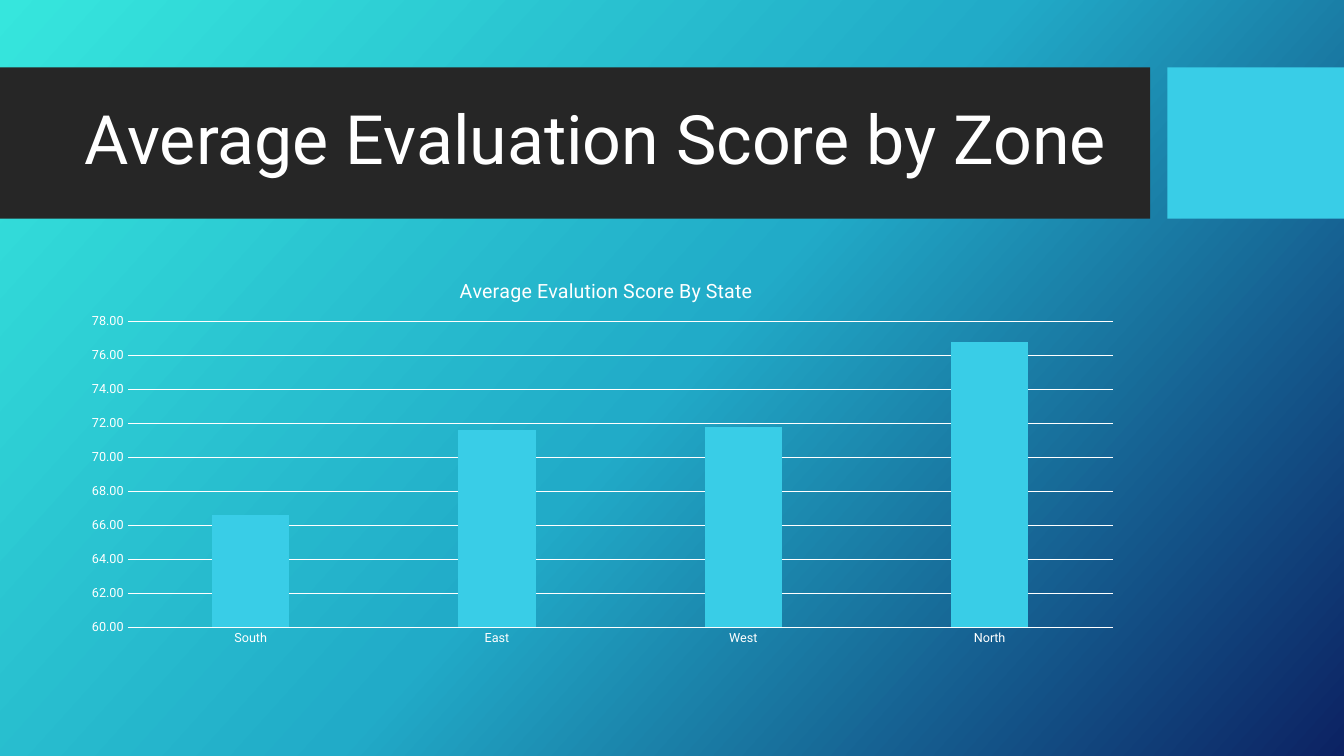
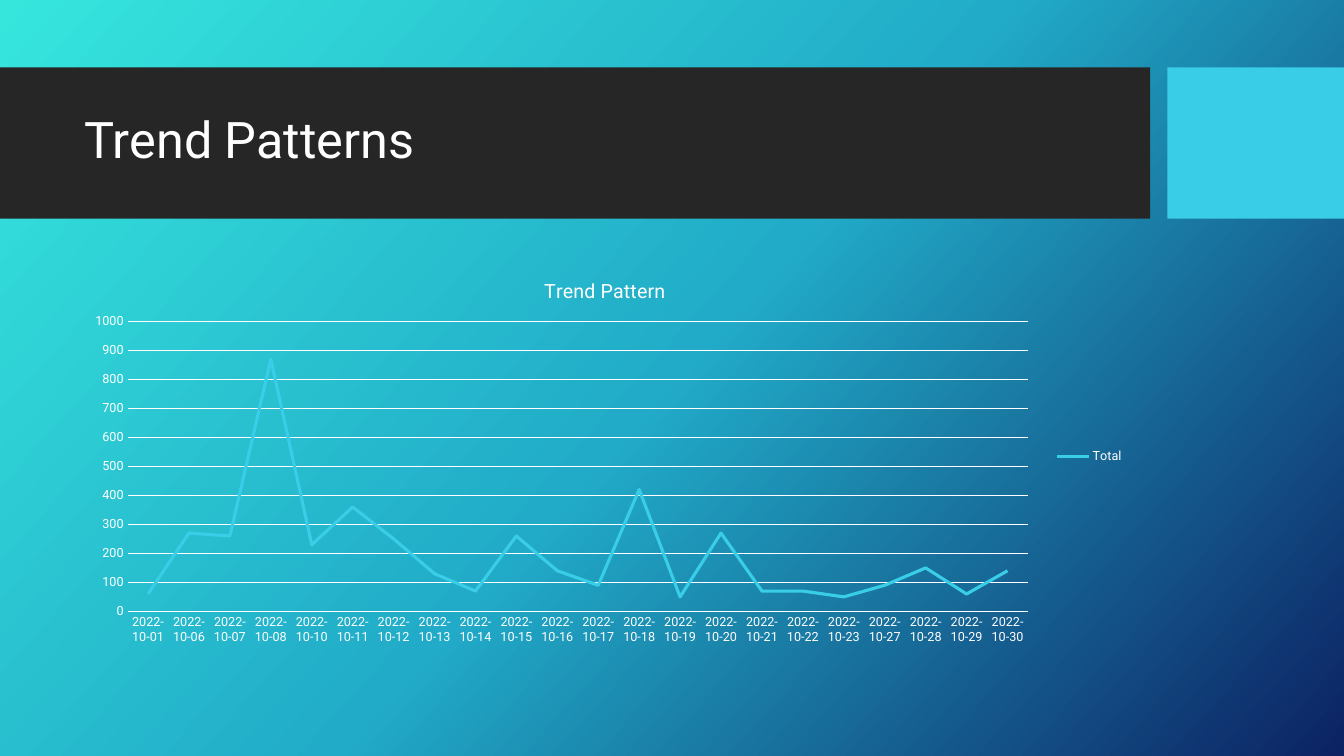
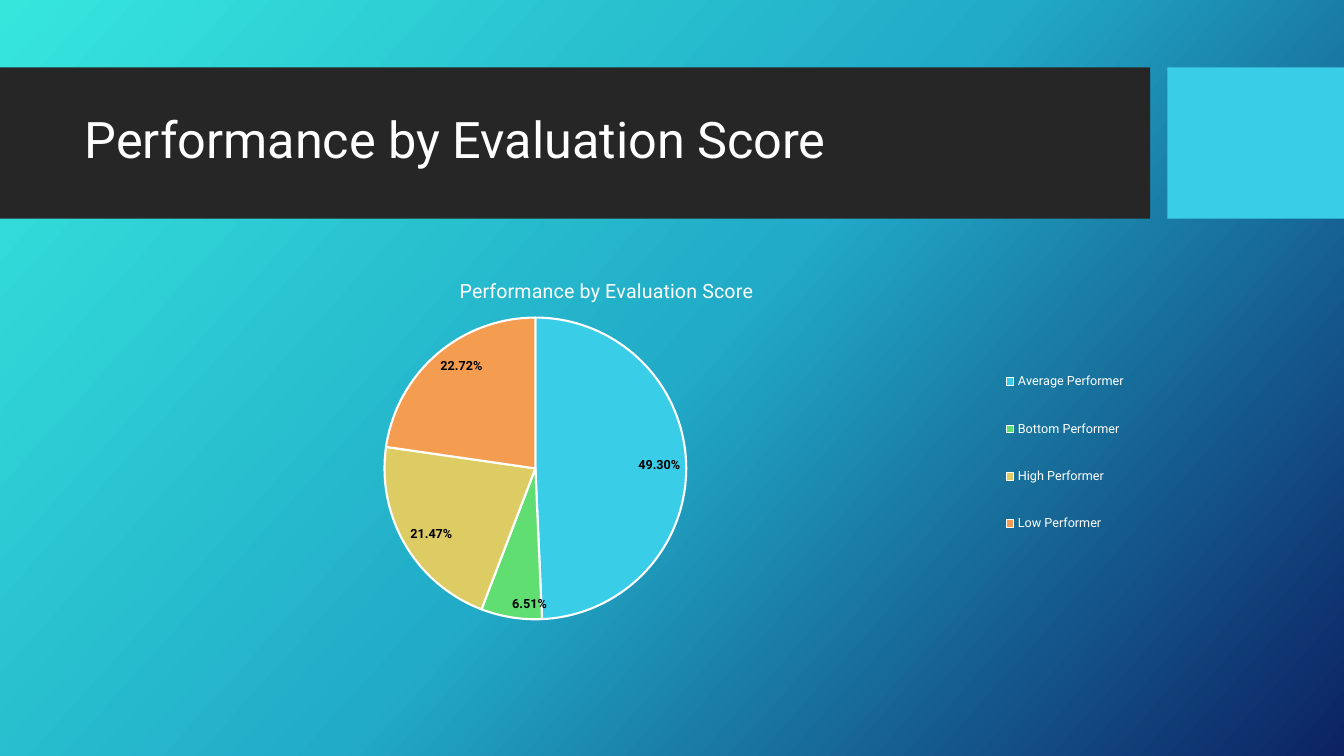
"""Three score slides with a banded title and one chart each."""
from copy import deepcopy
from pptx import Presentation
from pptx import util as u
from pptx.chart import data as cd
from pptx.dml import color as dc
from pptx.enum import chart as ec, shapes as es, text as et
from pptx.oxml import ns, parse_xml

HUE = {
    "aqua": "36E6DD", "teal": "21ABC8", "navy": "0C2263",
    "dark": "262626", "sky": "39CDE7", "white": "FFFFFF", "black": "000000",
    "green": "60DE72", "sand": "DDCC64", "amber": "F49D50",
}
FACE = "Roboto"
HEAD = (0, 48.2, 960, 108)
BODY = (53.3, 184.3, 756.7, 283.7)
DAYS = (1, 6, 7, 8, *range(10, 24), 27, 28, 29, 30)


def rgb(name):
    return dc.RGBColor.from_string(HUE[name])


def style(font, size, hue="white", bold=False):
    font.name, font.size, font.bold = FACE, u.Pt(size), bold
    font.color.rgb = rgb(hue)


def paint(page):
    fill = page.background.fill
    fill.gradient()
    fill.gradient_angle = 318
    first = next(page._element.iter(ns.qn("a:gs")))
    first.addnext(deepcopy(first))
    for stop, spot, hue in zip(fill.gradient_stops, (0, .5, 1), ("aqua", "teal", "navy")):
        stop.position = spot
        stop.color.rgb = rgb(hue)


def bands(slide, box):
    left, top, width, height = box
    wide, gap = 821.5, 12.3
    tree = slide.slide_layout.shapes._spTree
    for x, w, hue in ((left, wide, "dark"), (left + wide + gap, width - wide - gap, "sky")):
        band = slide.shapes.add_shape(
            es.MSO_SHAPE.RECTANGLE, u.Pt(x), u.Pt(top), u.Pt(w), u.Pt(height))
        band.shadow.inherit = False
        band.fill.solid()
        band.fill.fore_color.rgb = rgb(hue)
        band.line.fill.background()
        tree.insert(2, band._element)


def head(slide, box, words, size):
    left, top, width, height = box
    title = slide.shapes.title
    title.left, title.top = u.Pt(left + BODY[0]), u.Pt(top + 10.8)
    title.width, title.height = u.Pt(BODY[2]), u.Pt(height - 23)
    frame = title.text_frame
    frame.word_wrap = True
    frame.auto_size = et.MSO_AUTO_SIZE.NONE
    frame.vertical_anchor = et.MSO_ANCHOR.MIDDLE
    para = frame.paragraphs[0]
    para.alignment, para.line_spacing = et.PP_ALIGN.LEFT, .9
    run = para.add_run()
    run.text = words
    style(run.font, size)


def place(part, index, spot, inner=False):
    old = part.find(ns.qn("c:layout"))
    if old is not None:
        part.remove(old)
    target = '<c:layoutTarget val="inner"/>' if inner else ""
    sizes = "".join(f'<c:{k} val="{v}"/>' for k, v in zip("xywh", spot))
    part.insert(index, parse_xml(
        f'<c:layout {ns.nsdecls("c")}><c:manualLayout>{target}'
        f'<c:xMode val="edge"/><c:yMode val="edge"/>{sizes}'
        '</c:manualLayout></c:layout>'))


def graph(slide, box, kind, words, shift, plot, cats, name, vals):
    data = cd.CategoryChartData()
    data.categories = cats
    data.add_series(name, vals)
    chart = slide.shapes.add_chart(kind, *map(u.Pt, box), data).chart
    style(chart.font, 10)
    chart.has_legend = False
    chart.has_title = True
    run = chart.chart_title.text_frame.paragraphs[0].add_run()
    run.text = words
    style(run.font, 14)
    place(chart.chart_title._element, 1, (shift, .04))
    place(chart._chartSpace.chart.find(ns.qn("c:plotArea")), 0, plot, True)
    chart.plots[0].vary_by_categories = False
    return chart


def axes(chart, low, high, step, form):
    for axis in (chart.category_axis, chart.value_axis):
        axis.major_tick_mark = axis.minor_tick_mark = ec.XL_TICK_MARK.NONE
        style(axis.tick_labels.font, 9)
    grid = chart.value_axis
    grid.minimum_scale, grid.maximum_scale, grid.major_unit = low, high, step
    grid.has_major_gridlines = True
    grid.tick_labels.number_format = form
    grid.tick_labels.number_format_is_linked = False
    grid.format.line.fill.background()
    for line in (chart.category_axis.format.line, grid.major_gridlines.format.line):
        line.color.rgb, line.width = rgb("white"), u.Pt(.75)


def legend(chart):
    chart.has_legend = True
    key = chart.legend
    key.position = ec.XL_LEGEND_POSITION.RIGHT
    key.include_in_layout = False
    style(key.font, 9)
    return key


def zones(slide, box):
    chart = graph(
        slide, box, ec.XL_CHART_TYPE.COLUMN_CLUSTERED,
        "Average Evalution Score By State", .36, (.05, .16, .93, .77),
        ("South", "East", "West", "North"), "Series 1", (66.6, 71.6, 71.8, 76.8))
    axes(chart, 60, 78, 2, "0.00")
    plot = chart.plots[0]
    plot.gap_width, plot.overlap = 219, -27
    fill = plot.series[0].format.fill
    fill.solid()
    fill.fore_color.rgb = rgb("sky")


def trend(slide, box):
    chart = graph(
        slide, box, ec.XL_CHART_TYPE.LINE,
        "Trend Pattern", .44, (.05, .16, .85, .73),
        [f"2022-10-{day:02}" for day in DAYS], "Total",
        (60, 270, 260, 870, 230, 360, 250, 130, 70, 260, 140,
         90, 420, 50, 270, 70, 70, 50, 90, 150, 60, 140))
    axes(chart, 0, 1000, 100, "General")
    legend(chart)
    line = chart.plots[0].series[0]
    line.smooth = False
    line.marker.style = ec.XL_MARKER_STYLE.NONE
    line.format.line.color.rgb = rgb("sky")
    line.format.line.width = u.Pt(2.25)


def share(slide, box):
    chart = graph(
        slide, box, ec.XL_CHART_TYPE.PIE,
        "Performance by Evaluation Score", .36, (.29, .15, .29, .76),
        [f"{rank} Performer" for rank in ("Average", "Bottom", "High", "Low")],
        "Series 1", (.4930, .0651, .2147, .2272))
    place(legend(chart)._element, 1, (.87, .21, .13, .56))
    plot = chart.plots[0]
    plot.vary_by_categories = True
    for i, hue in enumerate(("sky", "green", "sand", "amber")):
        part = plot.series[0].points[i].format
        part.fill.solid()
        part.fill.fore_color.rgb = rgb(hue)
        part.line.color.rgb, part.line.width = rgb("white"), u.Pt(1.5)
    tags = plot.series[0].data_labels
    tags.show_value, tags.show_percentage = True, False
    tags.number_format, tags.number_format_is_linked = "0.00%", False
    tags.position = ec.XL_LABEL_POSITION.INSIDE_END
    style(tags.font, 9, "black", True)


def main():
    deck = Presentation()
    deck.slide_width, deck.slide_height = u.Pt(960), u.Pt(540)
    base = deck.slide_layouts[5]
    paint(base)
    for words, size, draw in (
            ("Average Evaluation Score by Zone", 48.6, zones),
            ("Trend Patterns", 36, trend),
            ("Performance by Evaluation Score", 36, share)):
        slide = deck.slides.add_slide(base)
        head(slide, HEAD, words, size)
        draw(slide, BODY)
    bands(slide, HEAD)
    deck.save("out.pptx")


if __name__ == "__main__":
    main()
